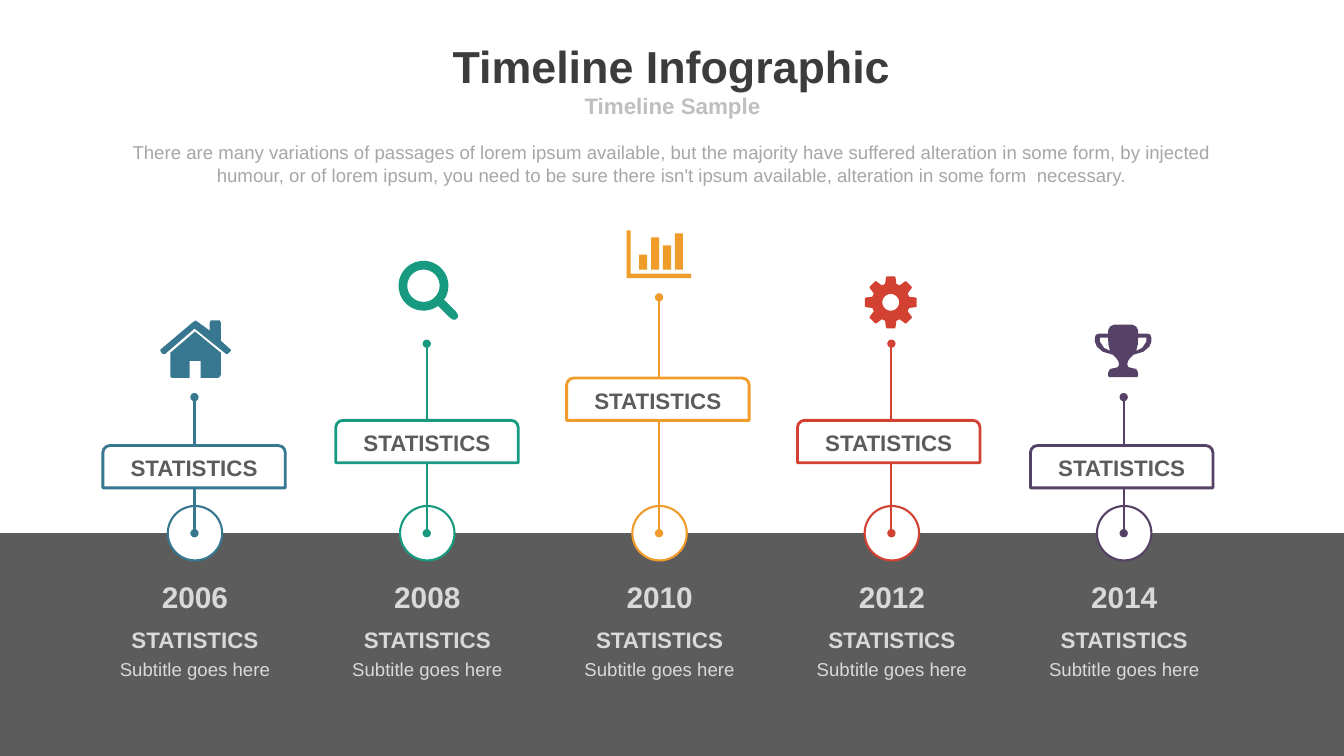
"""Build a five-milestone timeline infographic slide."""
import math
from dataclasses import dataclass

import lxml.etree
import pptx
import pptx.dml.color
import pptx.enum.shapes
import pptx.enum.text
import pptx.oxml.ns
import pptx.util

COLUMNS, ROWS = 1333, 750
CELL = pptx.util.Inches(0.01)
FIRST_CENTER, PITCH = 193.4, 230.4
HORIZON = 529
COLORS = {
    "white": "FFFFFF", "band": "5C5C5C", "title": "3C3C3C", "muted": "BFBFBF",
    "intro": "A6A6A6", "light": "D9D9D9", "blue": "377790", "green": "189A80",
    "orange": "F09C2A", "red": "D24132", "purple": "564266",
}
SHAPES = pptx.enum.shapes.MSO_SHAPE
MIDDLE = pptx.enum.text.MSO_ANCHOR.MIDDLE
TOP = pptx.enum.text.MSO_ANCHOR.TOP

Point = tuple[float, float]
Contour = list[Point]


@dataclass(frozen=True)
class TextStyle:
    size: float
    color: str
    bold: bool = True
    anchor: pptx.enum.text.MSO_ANCHOR = MIDDLE
    wrap: bool = True


@dataclass(frozen=True)
class Milestone:
    year: str
    color: str
    stem_top: float
    card_left: float
    card_top: float
    icon_left: float
    icon_top: float
    icon: list[Contour]


def cells(count: float) -> int:
    return round(count * CELL)


def rgb(name: str) -> pptx.dml.color.RGBColor:
    return pptx.dml.color.RGBColor.from_string(COLORS[name])


def arc(x: float, y: float, radius: float, start: int = 0, end: int = 360) -> Contour:
    return [(x + radius * math.cos(math.radians(angle)),
             y + radius * math.sin(math.radians(angle)))
            for angle in range(start, end, 5)]


def bar(left: float, top: float, right: float, bottom: float) -> Contour:
    return [(left, top), (right, top), (right, bottom), (left, bottom)]


def mirror(contour: Contour, width: float) -> Contour:
    return [(width - x, y) for x, y in reversed(contour)]


def house() -> list[Contour]:
    roof = [(67, 33), (65, 33), (34, 8), (5, 33), (2, 33), (0, 30), (0, 29),
            (32, 2), (35, 0), (38, 2), (49, 10), (49, 2), (50, 0), (59, 0),
            (60, 2), (60, 20), (70, 29), (70, 30)]
    walls = [(60, 54), (59, 56), (57, 57), (40, 57), (40, 40), (29, 40), (29, 57),
             (12, 57), (10, 56), (10, 54), (10, 32), (34.5, 11), (60, 32)]
    return [roof, walls]


def magnifier() -> list[Contour]:
    handle = [(45, 38), (57, 50), (59, 53), (59, 56), (57, 58), (54, 58), (51, 56)]
    return [arc(25, 24.5, 24.7, 54, 394) + handle, arc(25, 24.5, 16)]


def bar_chart() -> list[Contour]:
    axes = [(0, 0), (4, 0), (4, 43), (64, 43), (64, 47.5), (0, 47.5)]
    tops = [24, 7, 15, 3]
    return [axes] + [bar(12.5 + 11.8 * i, top, 20.5 + 11.8 * i, 39)
                     for i, top in enumerate(tops)]


def gear() -> list[Contour]:
    profile = [(-17, 19), (-11, 25), (-9, 26), (9, 26), (11, 25), (17, 19)]
    teeth = [(26 + radius * math.cos(math.radians(45 * tooth + turn)),
              26 + radius * math.sin(math.radians(45 * tooth + turn)))
             for tooth in range(8) for turn, radius in profile]
    return [teeth, arc(26, 26, 8.3)]


def trophy() -> list[Contour]:
    half = [(28, 0), (37, 0), (41, 2), (43, 6), (43, 9), (52, 9), (55, 10),
            (56, 13), (56, 17), (54, 22), (48, 27), (38, 30), (35, 33), (33, 36),
            (32, 39), (33, 42), (36, 43), (41, 44), (43, 48), (43, 51), (42, 52),
            (28, 52)]
    handle = [(51, 13), (43, 13), (42.5, 20), (41, 26), (47, 23), (51, 17)]
    return [half + mirror(half, 56), handle, mirror(handle, 56)]


def write(shape, text: str, style: TextStyle) -> None:
    frame = shape.text_frame
    frame.margin_left = frame.margin_right = frame.margin_top = frame.margin_bottom = 0
    frame.auto_size = pptx.enum.text.MSO_AUTO_SIZE.NONE
    frame.word_wrap = style.wrap
    frame.vertical_anchor = style.anchor
    para = frame.paragraphs[0]
    para.alignment = pptx.enum.text.PP_ALIGN.CENTER
    para.space_before = pptx.util.Pt(0)
    span = para.add_run()
    span.text = text
    span.font.name = "Arial"
    span.font.size = pptx.util.Pt(style.size)
    span.font.bold = style.bold
    span.font.color.rgb = rgb(style.color)


def place(shape, left: float, top: float, width: float, height: float) -> None:
    shape.left, shape.top = cells(left), cells(top)
    shape.width, shape.height = cells(width), cells(height)


def add_text(page, left: float, top: float, width: float, height: float,
             text: str, style: TextStyle) -> None:
    box = page.shapes.add_textbox(*map(cells, (left, top, width, height)))
    write(box, text, style)


def paint(shape, fill: str, line: str = "", weight: float = 0) -> None:
    shape.shadow.inherit = False
    shape.fill.solid()
    shape.fill.fore_color.rgb = rgb(fill)
    if line:
        shape.line.color.rgb = rgb(line)
        shape.line.width = pptx.util.Pt(weight)
    else:
        shape.line.fill.background()


def add_stem(page, x: float, top: float, color: str) -> None:
    stem = page.shapes.add_connector(pptx.enum.shapes.MSO_CONNECTOR.STRAIGHT,
                                     cells(x), cells(top), cells(x), cells(HORIZON))
    stem.line.color.rgb = rgb(color)
    stem.line.width = pptx.util.Pt(1.5)
    outline = stem.line._get_or_add_ln()
    for end in ("a:headEnd", "a:tailEnd"):
        lxml.etree.SubElement(outline, pptx.oxml.ns.qn(end), type="oval")
    lxml.etree.SubElement(stem._element.spPr, pptx.oxml.ns.qn("a:effectLst"))


def add_icon(page, milestone: Milestone) -> None:
    contours = [[(x * 10, y * 10) for x, y in contour] for contour in milestone.icon]
    builder = page.shapes.build_freeform(*contours[0][0], scale=CELL / 10)
    builder.add_line_segments(contours[0][1:])
    for contour in contours[1:]:
        builder.move_to(*contour[0])
        builder.add_line_segments(contour[1:])
    icon = builder.convert_to_shape(cells(milestone.icon_left), cells(milestone.icon_top))
    paint(icon, milestone.color)


def add_milestone(page, center: float, milestone: Milestone) -> None:
    heading = TextStyle(16, "light", anchor=TOP, wrap=False)
    add_text(page, center - 33.5, 574, 67, 36, milestone.year,
             TextStyle(21.3, "light", wrap=False))
    add_text(page, center - 63.5, 621, 127, 27, "STATISTICS", heading)
    add_text(page, center - 102.5, 653, 205, 22, "Subtitle goes here",
             TextStyle(13.3, "light", False, TOP))
    ring = page.shapes.add_shape(SHAPES.OVAL, *map(cells, (center - 27, 502, 54, 54)))
    paint(ring, "white", milestone.color, 1.5)
    add_stem(page, center - 0.5, milestone.stem_top, milestone.color)
    card = page.shapes.add_shape(
        SHAPES.ROUND_2_SAME_RECTANGLE,
        *map(cells, (milestone.card_left, milestone.card_top, 181, 42)))
    paint(card, "white", milestone.color, 2)
    write(card, "STATISTICS", TextStyle(16, "band"))
    add_icon(page, milestone)


def main() -> None:
    deck = pptx.Presentation()
    deck.slide_width, deck.slide_height = cells(COLUMNS), cells(ROWS)
    page = deck.slides.add_slide(deck.slide_layouts[1])
    title, subtitle = page.placeholders
    place(title, 255, 39, 822, 52)
    write(title, "Timeline Infographic", TextStyle(32, "title", wrap=False))
    place(subtitle, 367, 90, 600, 29)
    properties = subtitle.text_frame.paragraphs[0]._p.get_or_add_pPr()
    properties.set("marL", "0")
    properties.set("indent", "0")
    lxml.etree.SubElement(properties, pptx.oxml.ns.qn("a:buNone"))
    write(subtitle, "Timeline Sample", TextStyle(16, "muted"))
    add_text(page, 113, 140, 1107, 45,
             "There are many variations of passages of lorem ipsum available, but the "
             "majority have suffered alteration in some form, by injected humour, or of "
             "lorem ipsum, you need to be sure there isn't ipsum available, alteration "
             "in some form  necessary.", TextStyle(13.3, "intro", False, TOP))
    band = page.shapes.add_shape(
        SHAPES.RECTANGLE, *map(cells, (0, HORIZON, COLUMNS, ROWS - HORIZON)))
    paint(band, "band")
    milestones = [
        Milestone("2006", "blue", 394, 102, 442, 159, 318, house()),
        Milestone("2008", "green", 341, 333, 417, 395, 259, magnifier()),
        Milestone("2010", "orange", 295, 562, 375, 621.5, 228.5, bar_chart()),
        Milestone("2012", "red", 341, 791, 417, 857.5, 274, gear()),
        Milestone("2014", "purple", 394, 1022, 442, 1086, 322, trophy()),
    ]
    for index, milestone in enumerate(milestones):
        add_milestone(page, FIRST_CENTER + index * PITCH, milestone)
    deck.save("out.pptx")


if __name__ == "__main__":
    main()
